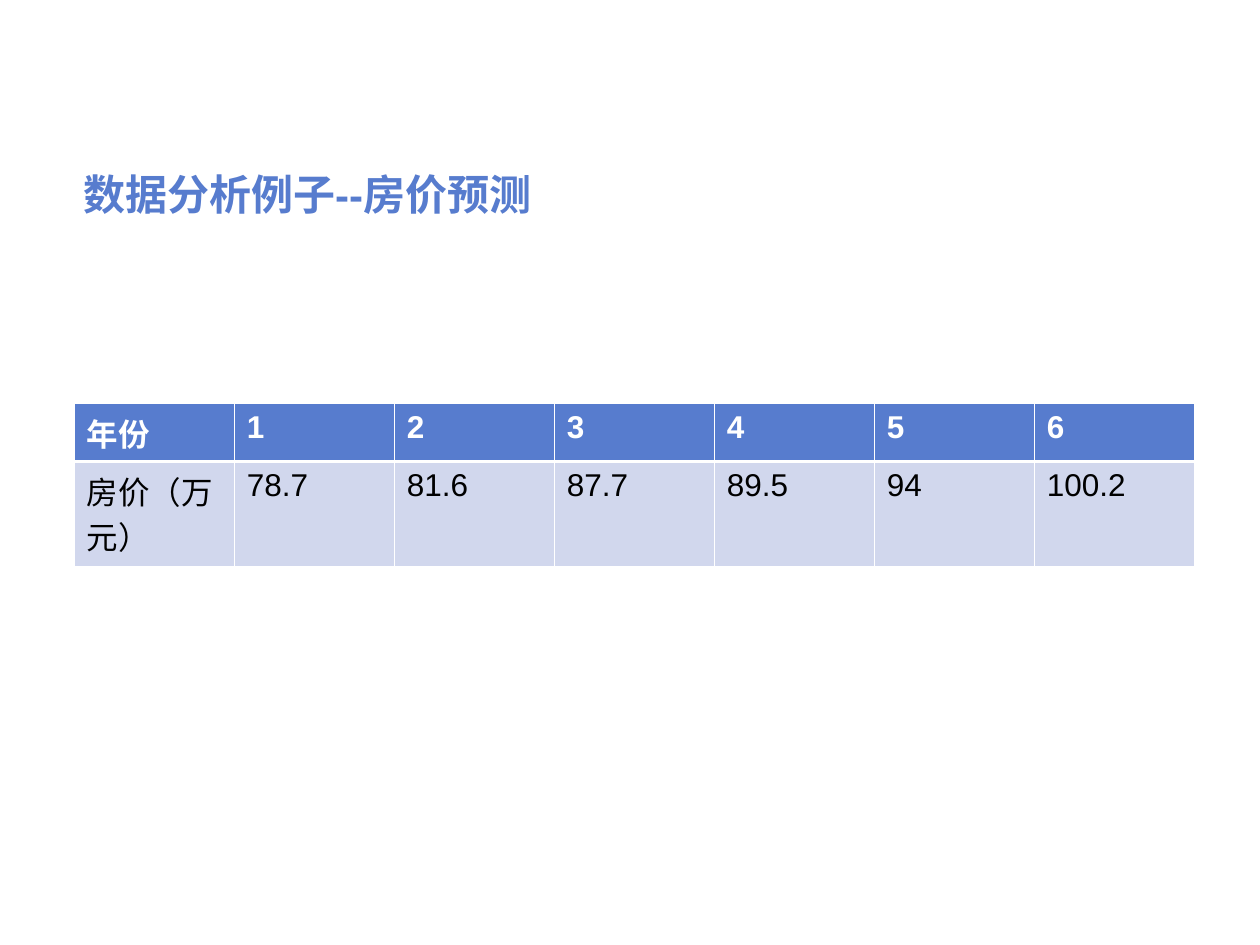
"""Build a slide with a table of house prices by year."""
import pptx
import pptx.dml.color
import pptx.enum.text
import pptx.oxml
import pptx.oxml.ns
import pptx.util

Inches = pptx.util.Inches
BLUE, PALE, WHITE, BLACK = "577CCE", "D1D7ED", "FFFFFF", "000000"


def rgb(color):
    return pptx.dml.color.RGBColor.from_string(color)


def write(tf, text, size=18, color=BLACK, bold=False):
    p = tf.paragraphs[0]
    p.alignment = pptx.enum.text.PP_ALIGN.LEFT
    r = p.add_run()
    r.text = text
    r.font.name = "Arial"
    r.font.size = pptx.util.Pt(size)
    r.font.bold = bold
    r.font.color.rgb = rgb(color)


prs = pptx.Presentation()
prs.slide_width, prs.slide_height = Inches(10), Inches(7.5)
s = prs.slides.add_slide(prs.slide_layouts[5])

title = s.shapes.title
title.left, title.top = Inches(0.55), Inches(1.3)
title.width, title.height = Inches(8.9), Inches(0.36)
tf = title.text_frame
tf.auto_size = pptx.enum.text.MSO_AUTO_SIZE.NONE
tf.vertical_anchor = pptx.enum.text.MSO_ANCHOR.TOP
tf.margin_left, tf.margin_right = Inches(0.11), Inches(0.08)
tf.margin_top = tf.margin_bottom = Inches(0.04)
write(tf, "数据分析例子--房价预测", size=24, color=BLUE, bold=True)

rows = [
    ["年份", "1", "2", "3", "4", "5", "6"],
    ["房价（万元）", "78.7", "81.6", "87.7", "89.5", "94", "100.2"],
]
styles = [
    {"fill": BLUE, "color": WHITE, "bold": True, "height": 0.46, "thick": "lnB"},
    {"fill": PALE, "color": BLACK, "bold": False, "height": 0.83, "thick": "lnT"},
]
table = s.shapes.add_table(
    len(rows), len(rows[0]), Inches(0.59), Inches(3.2), Inches(8.9), Inches(1.29)
).table
for column in table.columns:
    column.width = Inches(1.27)

for i, (values, style) in enumerate(zip(rows, styles)):
    table.rows[i].height = Inches(style["height"])
    for j, value in enumerate(values):
        cell = table.cell(i, j)
        cell.fill.solid()
        cell.fill.fore_color.rgb = rgb(style["fill"])
        cell.margin_left = cell.margin_right = Inches(0.1)
        cell.margin_top = cell.margin_bottom = Inches(0.05)
        write(cell.text_frame, value, color=style["color"], bold=style["bold"])
        tcPr = cell._tc.get_or_add_tcPr()
        for k, side in enumerate(["lnL", "lnR", "lnT", "lnB"]):
            width = pptx.util.Pt(1.47 if side == style["thick"] else 0.45)
            tcPr.insert(k, pptx.oxml.parse_xml(
                f'<a:{side} {pptx.oxml.ns.nsdecls("a")} w="{width}">'
                f'<a:solidFill><a:srgbClr val="{WHITE}"/></a:solidFill></a:{side}>'
            ))

prs.save("out.pptx")
